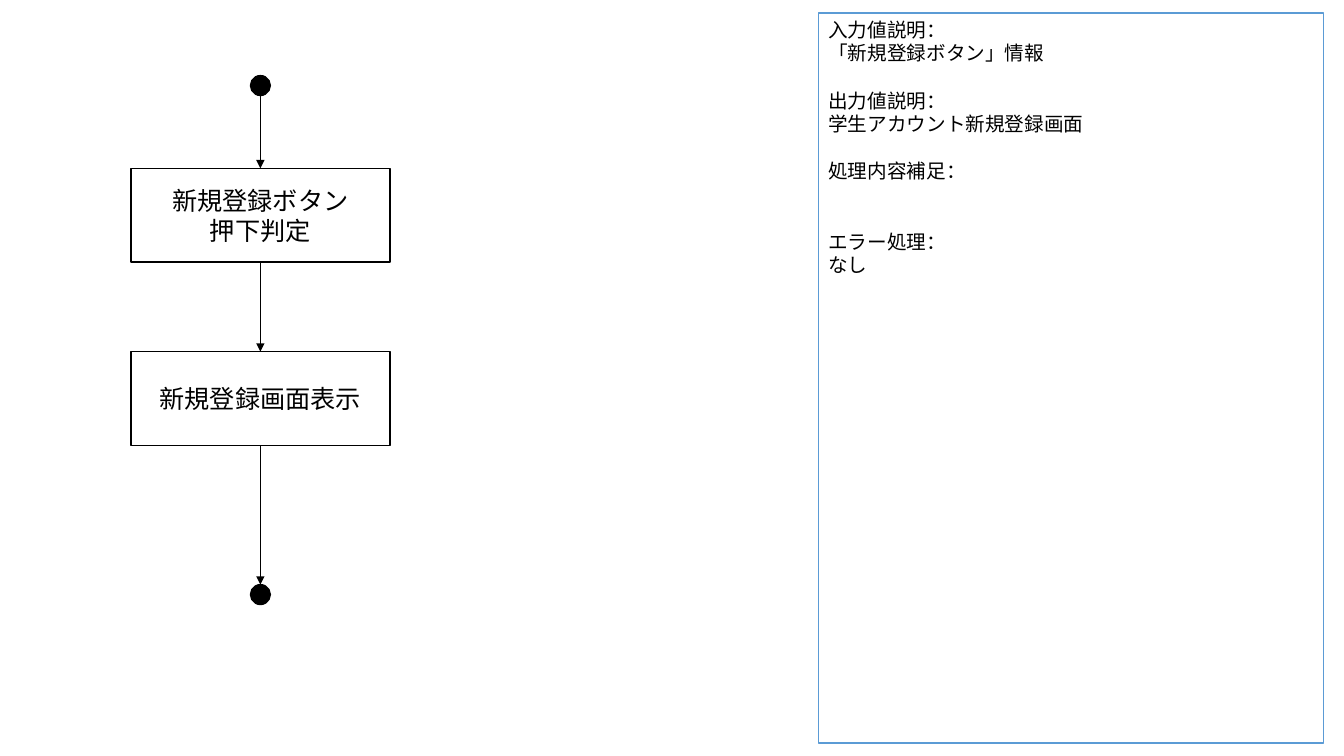
"""Build the flow chart slide for the new registration button."""
import pptx
import pptx.dml.color
import pptx.enum.shapes
import pptx.enum.text
import pptx.oxml.ns
import pptx.util
from lxml import etree

Pt = pptx.util.Pt
SHAPES = pptx.enum.shapes.MSO_SHAPE
ALIGN = pptx.enum.text.PP_ALIGN
ANCHOR = pptx.enum.text.MSO_ANCHOR
BLACK = pptx.dml.color.RGBColor(0x00, 0x00, 0x00)
WHITE = pptx.dml.color.RGBColor(0xFF, 0xFF, 0xFF)
BLUE = pptx.dml.color.RGBColor(0x5B, 0x9B, 0xD5)

FONT = "Calibri"
CENTER_X = 186
DOT_SIZE = 14.2
STEP_WIDTH, STEP_HEIGHT = 185, 67
NOTE_LINE = 16.8

deck = pptx.Presentation()
deck.slide_width, deck.slide_height = Pt(960), Pt(540)
page = deck.slides.add_slide(deck.slide_layouts[6])


def add_box(kind, left, top, width, height, fill, outline):
    box = page.shapes.add_shape(kind, Pt(left), Pt(top), Pt(width), Pt(height))
    box.shadow.inherit = False
    box.fill.solid()
    box.fill.fore_color.rgb = fill
    box.line.color.rgb = outline
    box.line.width = Pt(1)
    return box


def write_lines(box, lines, size, align, anchor):
    frame = box.text_frame
    frame.word_wrap = True
    frame.vertical_anchor = anchor
    for index, (text, gap) in enumerate(lines):
        para = frame.paragraphs[0] if index == 0 else frame.add_paragraph()
        para.text = text
        para.alignment = align
        para.space_before = Pt(gap)
        para.font.name = FONT
        para.font.size = Pt(size)
        para.font.color.rgb = BLACK


flow = [
    (54, DOT_SIZE, []),
    (120.2, STEP_HEIGHT, ["新規登録ボタン", "押下判定"]),
    (251.2, STEP_HEIGHT, ["新規登録画面表示"]),
    (417.6, DOT_SIZE, []),
]
for top, height, lines in flow:
    if lines:
        box = add_box(SHAPES.FLOWCHART_PROCESS, CENTER_X - STEP_WIDTH / 2, top,
                      STEP_WIDTH, height, WHITE, BLACK)
        write_lines(box, [(text, 0) for text in lines], 18,
                    ALIGN.CENTER, ANCHOR.MIDDLE)
    else:
        add_box(SHAPES.OVAL, CENTER_X - DOT_SIZE / 2, top,
                DOT_SIZE, height, BLACK, BLACK)

for (top, height, _), (next_top, _, _) in zip(flow, flow[1:]):
    arrow = page.shapes.add_connector(
        pptx.enum.shapes.MSO_CONNECTOR.STRAIGHT,
        Pt(CENTER_X), Pt(top + height), Pt(CENTER_X), Pt(next_top))
    arrow.line.color.rgb = BLACK
    arrow.line.width = Pt(0.5)
    etree.SubElement(arrow.line._get_or_add_ln(),
                     pptx.oxml.ns.qn("a:tailEnd"), type="triangle")
    etree.SubElement(arrow._element.spPr, pptx.oxml.ns.qn("a:effectLst"))

notes_panel = add_box(SHAPES.FLOWCHART_PROCESS, 584.6, 9.2, 360.8, 521.4,
                      WHITE, BLUE)
write_lines(notes_panel, [
    ("入力値説明：", 0),
    ("「新規登録ボタン」情報", 0),
    ("出力値説明：", NOTE_LINE),
    ("学生アカウント新規登録画面", 0),
    ("処理内容補足：", NOTE_LINE),
    ("エラー処理：", 2 * NOTE_LINE),
    ("なし", 0),
], 14, ALIGN.LEFT, ANCHOR.TOP)

deck.save("out.pptx")
